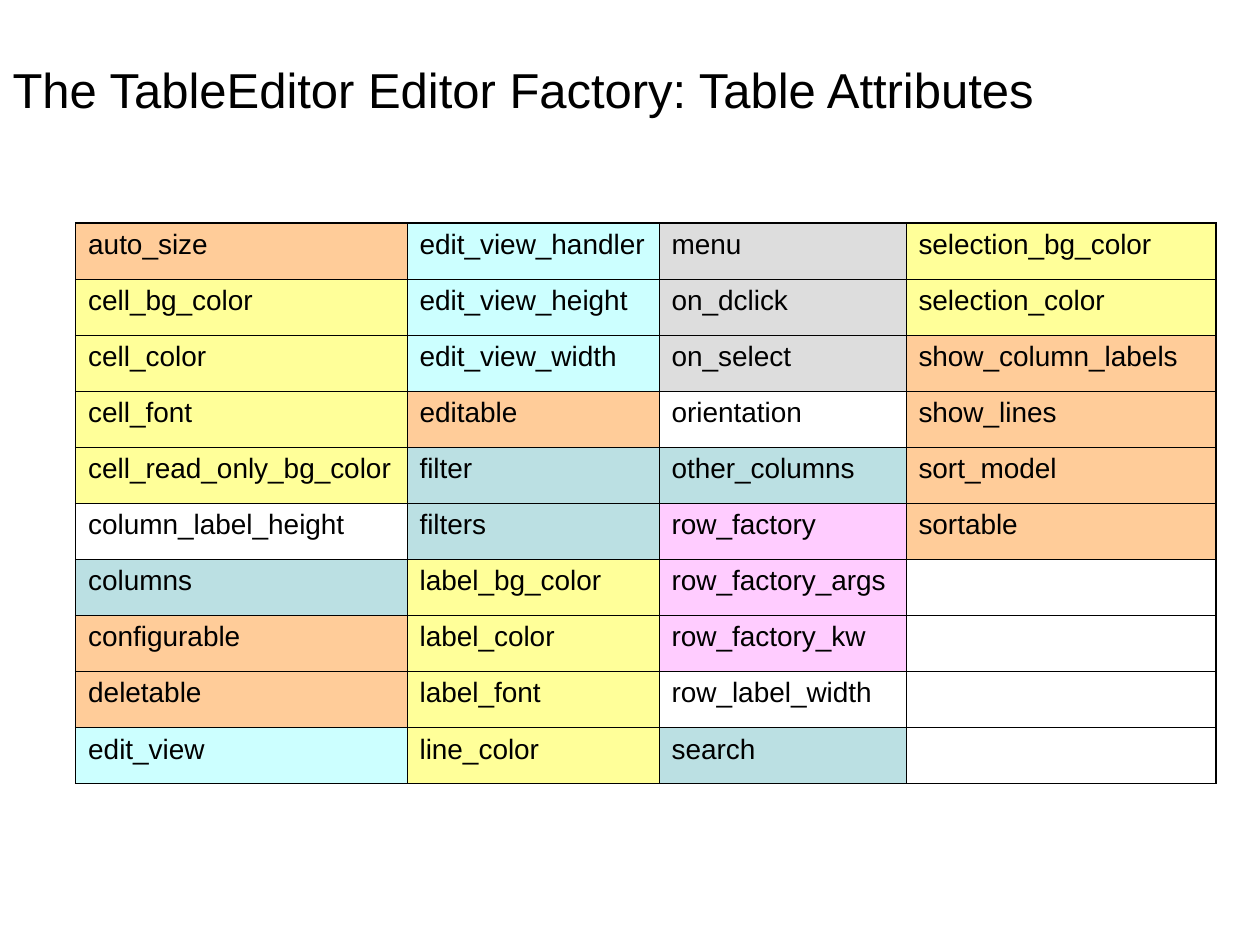
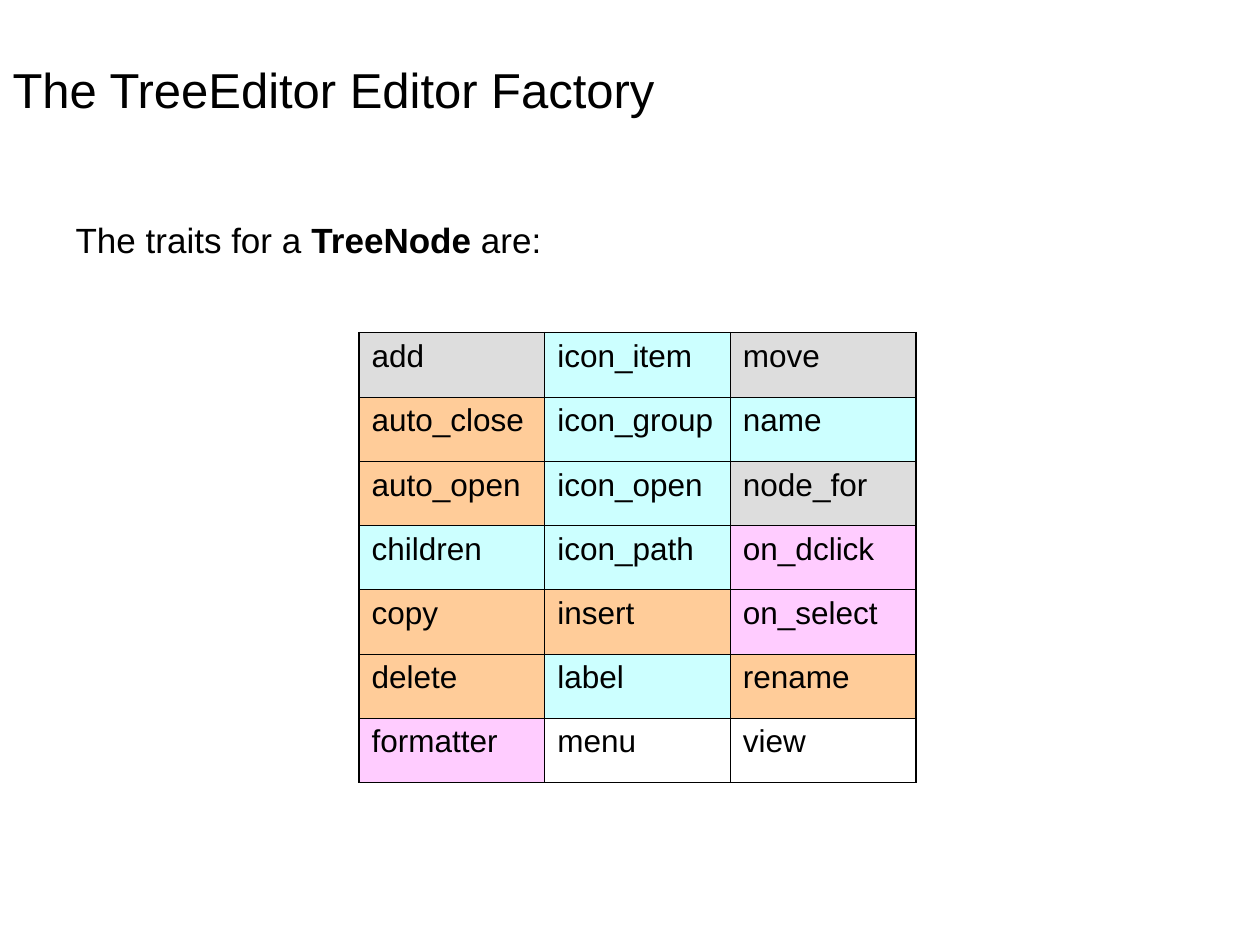
from lxml import etree
from pptx import Presentation
from pptx import util as u
from pptx.dml.color import RGBColor
from pptx.enum import text
from pptx.oxml import ns

FONT = "Arial"
COLOURS = {
    "black": "000000",
    "orange": "FFCC99",
    "yellow": "FFFF99",
    "cyan": "CCFFFF",
    "grey": "DDDDDD",
    "teal": "BBE0E3",
    "pink": "FFCCFF",
}
OUTER_LINE, INNER_LINE = 1.08, 0.45

TABLE_ATTRIBUTES = [
    ("orange", "auto_size"),
    ("yellow", "cell_bg_color cell_color cell_font cell_read_only_bg_color"),
    ("plain", "column_label_height"),
    ("teal", "columns"),
    ("orange", "configurable deletable"),
    ("cyan", "edit_view edit_view_handler edit_view_height edit_view_width"),
    ("orange", "editable"),
    ("teal", "filter filters"),
    ("yellow", "label_bg_color label_color label_font line_color"),
    ("grey", "menu on_dclick on_select"),
    ("plain", "orientation"),
    ("teal", "other_columns"),
    ("pink", "row_factory row_factory_args row_factory_kw"),
    ("plain", "row_label_width"),
    ("teal", "search"),
    ("yellow", "selection_bg_color selection_color"),
    ("orange", "show_column_labels show_lines sort_model sortable"),
]
TREE_NODE_TRAITS = [
    ("grey", "add"),
    ("orange", "auto_close auto_open"),
    ("cyan", "children"),
    ("orange", "copy delete"),
    ("pink", "formatter"),
    ("cyan", "icon_item icon_group icon_open icon_path"),
    ("orange", "insert"),
    ("cyan", "label"),
    ("plain", "menu"),
    ("grey", "move"),
    ("cyan", "name"),
    ("grey", "node_for"),
    ("pink", "on_dclick on_select"),
    ("orange", "rename"),
    ("plain", "view"),
]

PAGES = [
    {
        "title": "The TableEditor Editor Factory: Table Attributes",
        "layout": 5,
        "names": TABLE_ATTRIBUTES,
        "left": 0.6, "top": 1.77, "height": 4.45,
        "widths": [2.63, 2, 1.96, 2.46],
        "rows": 10, "size": 16, "space": 4,
    },
    {
        "title": "The TreeEditor Editor Factory",
        "layout": 1,
        "intro": [("The traits for a ", False), ("TreeNode", True), (" are:", False)],
        "names": TREE_NODE_TRAITS,
        "left": 2.85, "top": 2.64, "height": 3.57,
        "widths": [4.42 / 3] * 3,
        "rows": 7, "size": 18, "space": 4.5,
    },
]


def style_run(run, size, bold=False):
    run.font.name = FONT
    run.font.size = u.Pt(size)
    run.font.bold = bold
    run.font.color.rgb = RGBColor.from_string(COLOURS["black"])


def draw_borders(cell, widths):
    properties = cell._tc.get_or_add_tcPr()
    for place, (side, width) in enumerate(widths.items()):
        line = etree.Element(ns.qn(f"a:ln{side}"), w=str(u.Pt(width)))
        solid = etree.SubElement(line, ns.qn("a:solidFill"))
        etree.SubElement(solid, ns.qn("a:srgbClr"), val=COLOURS["black"])
        properties.insert(place, line)


deck = Presentation()
deck.slide_width, deck.slide_height = u.Inches(10), u.Inches(7.5)

for page in PAGES:
    slide = deck.slides.add_slide(deck.slide_layouts[page["layout"]])
    title = slide.shapes.title
    title.left, title.top = u.Inches(0), u.Inches(0.08)
    title.width, title.height = u.Inches(9), u.Inches(1.25)
    title.text_frame.text = page["title"]
    title.text_frame.auto_size = text.MSO_AUTO_SIZE.NONE
    title.text_frame.vertical_anchor = text.MSO_ANCHOR.MIDDLE
    heading = title.text_frame.paragraphs[0]
    heading.alignment = text.PP_ALIGN.LEFT
    style_run(heading.runs[0], 28)

    if "intro" in page:
        intro = slide.placeholders[1]
        intro.left, intro.top = u.Inches(0.5), u.Inches(1.75)
        intro.width, intro.height = u.Inches(8.07), u.Inches(0.39)
        intro.text_frame.auto_size = text.MSO_AUTO_SIZE.NONE
        sentence = intro.text_frame.paragraphs[0]
        sentence.line_spacing = 0.8
        sentence.space_before = u.Pt(5)
        indents = sentence._p.get_or_add_pPr()
        indents.set("marL", str(u.Inches(0.38)))
        indents.set("indent", str(u.Inches(-0.38)))
        etree.SubElement(indents, ns.qn("a:buNone"))
        for words, bold in page["intro"]:
            run = sentence.add_run()
            run.text = words
            style_run(run, 20, bold)

    widths, row_count = page["widths"], page["rows"]
    grid = slide.shapes.add_table(
        row_count, len(widths), u.Inches(page["left"]), u.Inches(page["top"]),
        u.Inches(sum(widths)), u.Inches(page["height"])).table
    grid.first_row = grid.horz_banding = False
    for column, width in zip(grid.columns, widths):
        column.width = u.Inches(width)
    for row in grid.rows:
        row.height = u.Inches(page["height"] / row_count)

    names = [(name, colour) for colour, group in page["names"] for name in group.split()]
    names += [("", "plain")] * (row_count * len(widths) - len(names))
    for position, (name, colour) in enumerate(names):
        column, row = divmod(position, row_count)
        cell = grid.cell(row, column)
        if colour == "plain":
            cell.fill.background()
        else:
            cell.fill.solid()
            cell.fill.fore_color.rgb = RGBColor.from_string(COLOURS[colour])
        edges = {
            "L": column == 0,
            "R": column == len(widths) - 1,
            "T": row == 0,
            "B": row == row_count - 1,
        }
        draw_borders(cell, {side: OUTER_LINE if outer else INNER_LINE
                            for side, outer in edges.items()})
        if name:
            cell.text_frame.text = name
            label = cell.text_frame.paragraphs[0]
            label.space_before = u.Pt(page["space"])
            style_run(label.runs[0], page["size"])

deck.save("out.pptx")
